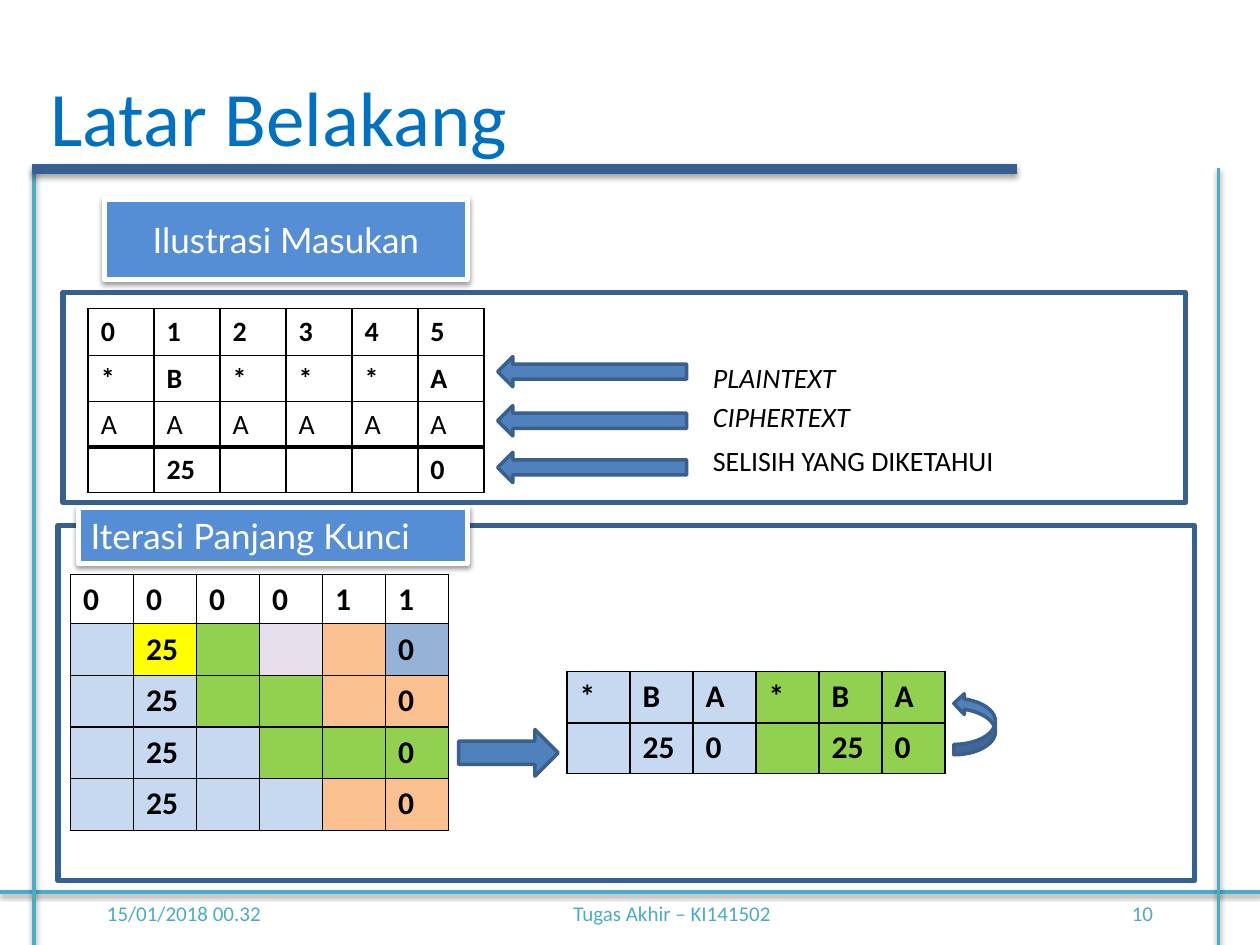
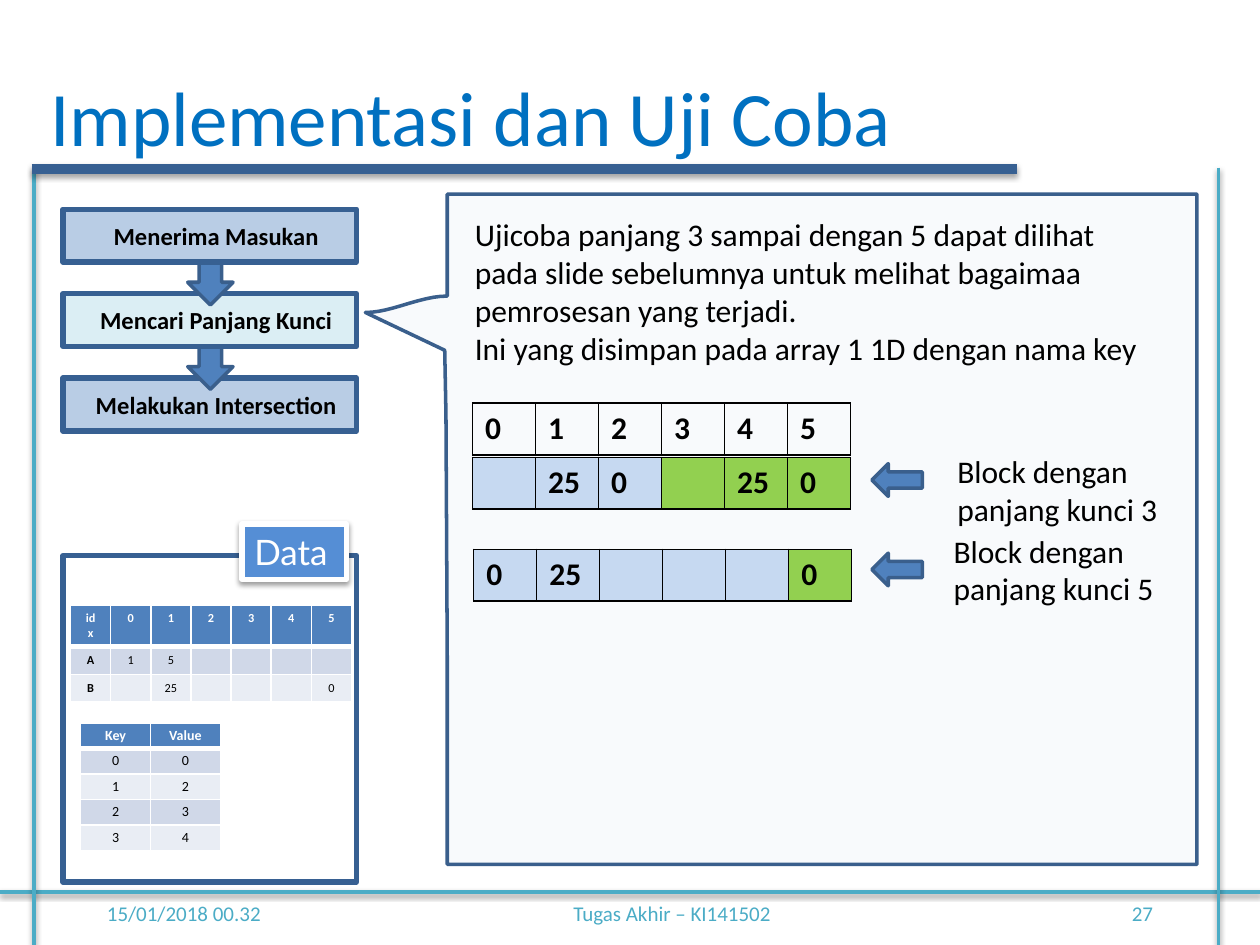
from dataclasses import dataclass

from lxml import etree
from pptx import Presentation
from pptx import util as u
from pptx.dml.color import RGBColor
from pptx.enum import shapes, text
from pptx.oxml.ns import qn


@dataclass(frozen=True)
class Theme:
    body: str = "Calibri"
    label: str = "Lato"
    title: str = "0070C0"
    teal: str = "4BACC6"
    navy: str = "376092"
    blue: str = "4F81BD"
    edge: str = "3A5F8C"
    plate: str = "558ED5"
    step: str = "B9CDE5"
    active: str = "DBEEF4"
    callout: str = "DCE6F2"
    black: str = "000000"
    white: str = "FFFFFF"
    title_size: int = 44
    label_size: int = 20
    text_size: int = 18
    small_size: int = 16
    step_size: int = 14
    footer_size: int = 12
    key_size: int = 8
    data_size: int = 7


THEME = Theme()
COLUMNS, ROWS = 10, 7.5
UNIT = u.Inches(1)
CELL_FILLS = {"b": "C6D9F1", "g": "92D050", "o": "FAC090", "y": "FFFF00", "l": "E6E0EC",
              "s": "95B3D7", "H": THEME.blue, "d": "D0D8E8", "e": "E9EDF4"}
GEOMETRY = shapes.MSO_AUTO_SHAPE_TYPE
ALIGN = text.PP_ALIGN
ANCHOR = text.MSO_ANCHOR


def grid(*lengths):
    return [round(length * UNIT) for length in lengths]


def rgb(value):
    return RGBColor.from_string(value)


def set_font(para, size, color=THEME.black, name=THEME.body, bold=False, italic=False):
    font = para.font
    font.name, font.size, font.bold, font.italic = name, u.Pt(size), bold, italic
    font.color.rgb = rgb(color)


def set_shadow(element, alpha=38, distance=1.6):
    effects = etree.SubElement(element.spPr, qn("a:effectLst"))
    shadow = etree.SubElement(effects, qn("a:outerShdw"), blurRad=str(u.Pt(3.1)),
                              dist=str(u.Pt(distance)), dir="5400000", rotWithShape="0")
    color = etree.SubElement(shadow, qn("a:srgbClr"), val=THEME.black)
    etree.SubElement(color, qn("a:alpha"), val=str(alpha * 1000))


def paint(shape, fill, line, width):
    if fill:
        shape.fill.solid()
        shape.fill.fore_color.rgb = rgb(fill)
    else:
        shape.fill.background()
    shape.line.color.rgb = rgb(line)
    shape.line.width = u.Pt(width)


def add_line(page, start, end, color=THEME.teal, width=2, alpha=38, distance=1.6):
    line = page.shapes.add_connector(shapes.MSO_CONNECTOR.STRAIGHT, *grid(*start, *end))
    line.line.color.rgb = rgb(color)
    line.line.width = u.Pt(width)
    set_shadow(line._element, alpha, distance)


def add_text(page, place, lines, size, align=ALIGN.LEFT, anchor=ANCHOR.TOP, **look):
    box = page.shapes.add_textbox(*grid(*place))
    frame = box.text_frame
    frame.word_wrap = True
    frame.vertical_anchor = anchor
    frame.text = lines
    for para in frame.paragraphs:
        para.alignment = align
        set_font(para, size, **look)


def add_shape(page, kind, place, fill=THEME.blue, line=THEME.edge, width=2):
    shape = page.shapes.add_shape(kind, *grid(*place))
    shape.shadow.inherit = False
    paint(shape, fill, line, width)
    return shape


def add_frame(page, place, fill=None):
    return add_shape(page, GEOMETRY.RECTANGLE, place, fill, THEME.navy, 3)


def fill_text(shape, words, size, align, **look):
    frame = shape.text_frame
    frame.word_wrap = True
    frame.vertical_anchor = ANCHOR.MIDDLE
    frame.text = words
    para = frame.paragraphs[0]
    para.alignment = align
    set_font(para, size, **look)
    return para


def add_label(page, place, words, align=ALIGN.LEFT):
    plate = page.shapes.add_shape(GEOMETRY.RECTANGLE, *grid(*place))
    paint(plate, THEME.plate, THEME.white, 3)
    set_shadow(plate._element)
    para = fill_text(plate, words, THEME.label_size, align, color=THEME.white, name=THEME.label)
    para.space_after = u.Pt(3)


def add_step(page, place, words, fill):
    step = add_frame(page, place, fill)
    step.text_frame.margin_left = u.Inches(0.2)
    fill_text(step, words, THEME.step_size, ALIGN.CENTER, bold=True)


def set_borders(cell, color, bottom):
    properties = cell._tc.get_or_add_tcPr()
    for side in "LRTB":
        width = bottom if side == "B" else 1
        line = etree.SubElement(properties, qn("a:ln" + side), w=str(u.Pt(width)))
        solid = etree.SubElement(line, qn("a:solidFill"))
        etree.SubElement(solid, qn("a:srgbClr"), val=color)


def fill_cell(cell, words, fill, size, color, bold, align, border, bottom=1):
    set_borders(cell, border, bottom)
    if fill in CELL_FILLS:
        cell.fill.solid()
        cell.fill.fore_color.rgb = rgb(CELL_FILLS[fill])
    else:
        cell.fill.background()
    cell.text = words
    para = cell.text_frame.paragraphs[0]
    para.alignment = align
    set_font(para, size, color, bold=bold)
    if not words:
        etree.SubElement(para._p, qn("a:endParaRPr"), sz=str(size * 100))


def add_grid(page, place, rows):
    frame = page.shapes.add_table(len(rows), len(rows[0]), *grid(*place))
    table = frame.table
    table.first_row = table.horz_banding = False
    for column in table.columns:
        column.width = round(place[2] * UNIT / len(rows[0]))
    for row in table.rows:
        row.height = round(place[3] * UNIT / len(rows))
    return table


def add_blocks(page, place, rows, fills="......", size=THEME.text_size, bold_rows=1):
    table = add_grid(page, place, rows)
    for i, row in enumerate(rows):
        for j, words in enumerate(row):
            fill_cell(table.cell(i, j), words, fills[j], size, THEME.black, i < bold_rows,
                      ALIGN.LEFT, THEME.black)


def add_records(page, place, rows, size, bold_first=False, margins=None):
    table = add_grid(page, place, rows)
    for i, row in enumerate(rows):
        head = i == 0
        fill = "H" if head else "ed"[i % 2]
        for j, words in enumerate(row):
            cell = table.cell(i, j)
            fill_cell(cell, words, fill, size, THEME.white if head else THEME.black,
                      head or (bold_first and j == 0), ALIGN.CENTER, THEME.white,
                      3 if head else 1)
            if margins:
                cell.margin_left = cell.margin_right = u.Inches(margins[0])
                cell.margin_top = cell.margin_bottom = u.Inches(margins[1])


def curve(points, steps=12):
    for k in range(1, steps + 1):
        t = k / steps
        weights = ((1 - t) ** 3, 3 * t * (1 - t) ** 2, 3 * t * t * (1 - t), t ** 3)
        yield tuple(sum(w * p[axis] for w, p in zip(weights, points)) for axis in (0, 1))


def add_callout(page):
    tip = (2.9, 2.48)
    tail = curve((tip, (3.11, 2.48), (3.33, 2.35), (3.55, 2.35)))
    points = [(9.5, 6.86), (3.55, 6.86), (3.55, 5.22), (3.54, 3.29), (3.53, 2.78), tip,
              *tail, (3.55, 1.54)]
    builder = page.shapes.build_freeform(*grid(9.5, 1.54))
    builder.add_line_segments([grid(*point) for point in points], close=True)
    callout = builder.convert_to_shape()
    callout.shadow.inherit = False
    paint(callout, THEME.callout, THEME.edge, 2)
    color = callout._element.spPr.find(qn("a:solidFill"))[0]
    etree.SubElement(color, qn("a:alpha"), val="20000")


def add_page(deck, title, title_width, number):
    page = deck.slides.add_slide(deck.slide_layouts[5])
    footer = dict(size=THEME.footer_size, anchor=ANCHOR.MIDDLE, color=THEME.teal)
    add_text(page, (0.75, 7, 2.08, 0.5), "15/01/2018 00.32", **footer)
    add_text(page, (3.75, 7, 3.17, 0.5), "Tugas Akhir – KI141502", align=ALIGN.CENTER, **footer)
    add_text(page, (7.17, 7, 2.08, 0.5), number, align=ALIGN.RIGHT, **footer)
    add_line(page, (0, 7.08), (COLUMNS, 7.08))
    add_line(page, (0.27, 1.33), (0.27, ROWS))
    add_line(page, (9.67, 1.33), (9.67, ROWS))
    head = page.shapes.title
    head.left, head.top, head.width, head.height = grid(0.3, 0.5, title_width, 0.84)
    frame = head.text_frame
    frame.text = title
    frame.word_wrap = False
    frame.auto_size = text.MSO_AUTO_SIZE.NONE
    frame.vertical_anchor = ANCHOR.TOP
    frame.paragraphs[0].alignment = ALIGN.LEFT
    set_font(frame.paragraphs[0], THEME.title_size, THEME.title)
    add_line(page, (0.25, 1.34), (8.07, 1.34), THEME.navy, 6, 35, 1.8)
    return page


def build_background(deck):
    page = add_page(deck, "Latar Belakang", 3.86, "10")
    add_label(page, (0.83, 1.58, 2.88, 0.64), "Ilustrasi Masukan", ALIGN.CENTER)
    add_frame(page, (0.5, 2.32, 8.91, 1.67))
    small = THEME.small_size
    add_blocks(page, (0.7, 2.82, 3.14, 0.73), ["*B***A", "AAAAAA"], size=small)
    add_blocks(page, (0.7, 3.54, 3.14, 0.37), [["", "25", "", "", "", "0"]], size=small)
    add_blocks(page, (0.7, 2.45, 3.14, 0.37), ["012345"], size=small)
    for arrow_top, text_top, words, italic in (
            (2.83, 2.81, "PLAINTEXT", True), (3.22, 3.12, "CIPHERTEXT", True),
            (3.59, 3.47, "SELISIH YANG DIKETAHUI", False)):
        add_shape(page, GEOMETRY.LEFT_ARROW, (3.95, arrow_top, 1.5, 0.24))
        add_text(page, (5.56, text_top, 2.92, 0.37), words, small, italic=italic)

    add_frame(page, (0.46, 4.17, 9.02, 2.82))
    add_label(page, (0.62, 4.03, 3.09, 0.44), "Iterasi Panjang Kunci")
    add_blocks(page, (0.56, 4.56, 3, 0.41), ["000011"])
    for i, fills in enumerate(("byglos", "bbggoo", "bbbggg", "bbbboo")):
        add_blocks(page, (0.56, 4.95 + 0.41 * i, 3, 0.41), [["", "25", "", "", "", "0"]], fills)
    add_shape(page, GEOMETRY.RIGHT_ARROW, (3.64, 5.79, 0.79, 0.37))
    add_blocks(page, (4.5, 5.73, 3, 0.41), [["", "25", "0"] * 2], "bbbggg")
    add_blocks(page, (4.5, 5.33, 3, 0.41), ["*BA*BA"], "bbbggg")
    loop = add_shape(page, GEOMETRY.CURVED_RIGHT_ARROW, (7.57, 5.5, 0.33, 0.49))
    loop.rotation = 180


def build_trial(deck):
    page = add_page(deck, "Implementasi dan Uji Coba", 6.95, "27")
    add_callout(page)
    add_frame(page, (0.5, 4.41, 2.33, 2.59))
    add_records(page, (0.64, 5.74, 1.11, 1.01), [("Key", "Value"), "00", "12", "23", "34"],
                THEME.key_size, margins=(0.06, 0.03))
    add_label(page, (1.92, 4.16, 0.83, 0.44), "Data")
    add_records(page, (0.56, 4.8, 2.23, 0.66),
                [("idx", *"012345"), ("A", "1", "5", "", "", "", ""),
                 ("B", "", "25", "", "", "", "0")], THEME.data_size, bold_first=True)

    steps = (("Menerima Masukan", THEME.step), ("Mencari Panjang Kunci", THEME.active),
             ("Melakukan Intersection", THEME.step))
    for i, (words, fill) in reversed(list(enumerate(steps))):
        top = 1.66 + 0.67 * i
        add_step(page, (0.5, top, 2.33, 0.42), words, fill)
        if i:
            add_shape(page, GEOMETRY.DOWN_ARROW, (1.49, top - 0.33, 0.36, 0.42))

    add_text(page, (3.67, 1.66, 5.58, 1.31),
             "Ujicoba panjang 3 sampai dengan 5 dapat dilihat pada slide sebelumnya untuk "
             "melihat bagaimaa pemrosesan yang terjadi.\n"
             "Ini yang disimpan pada array 1 1D dengan nama key", THEME.text_size)
    add_blocks(page, (3.75, 3.2, 3, 0.41), ["012345"])
    add_blocks(page, (3.75, 3.63, 3, 0.41), [["", "25", "0"] * 2], "bbbggg")
    add_blocks(page, (3.76, 4.36, 3, 0.41), [["0", "25", "", "", "", "0"]], "bbbbbg")
    for arrow_top, left, top, length in ((3.68, 7.5, 3.54, 3), (4.39, 7.47, 4.17, 5)):
        add_shape(page, GEOMETRY.LEFT_ARROW, (6.92, arrow_top, 0.4, 0.26))
        add_text(page, (left, top, 2, 0.71), f"Block dengan panjang kunci {length}",
                 THEME.text_size)


def main():
    deck = Presentation()
    deck.slide_width, deck.slide_height = grid(COLUMNS, ROWS)
    build_background(deck)
    build_trial(deck)
    deck.save("out.pptx")


main()
